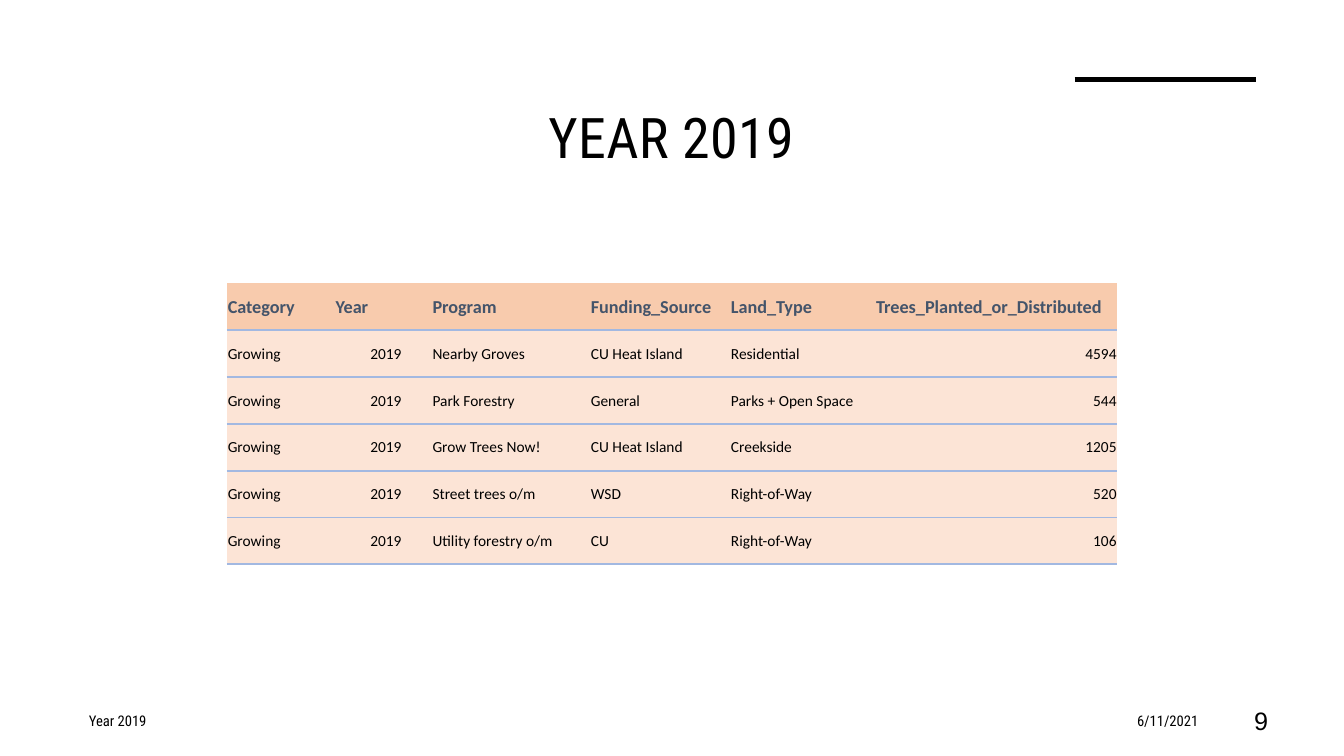
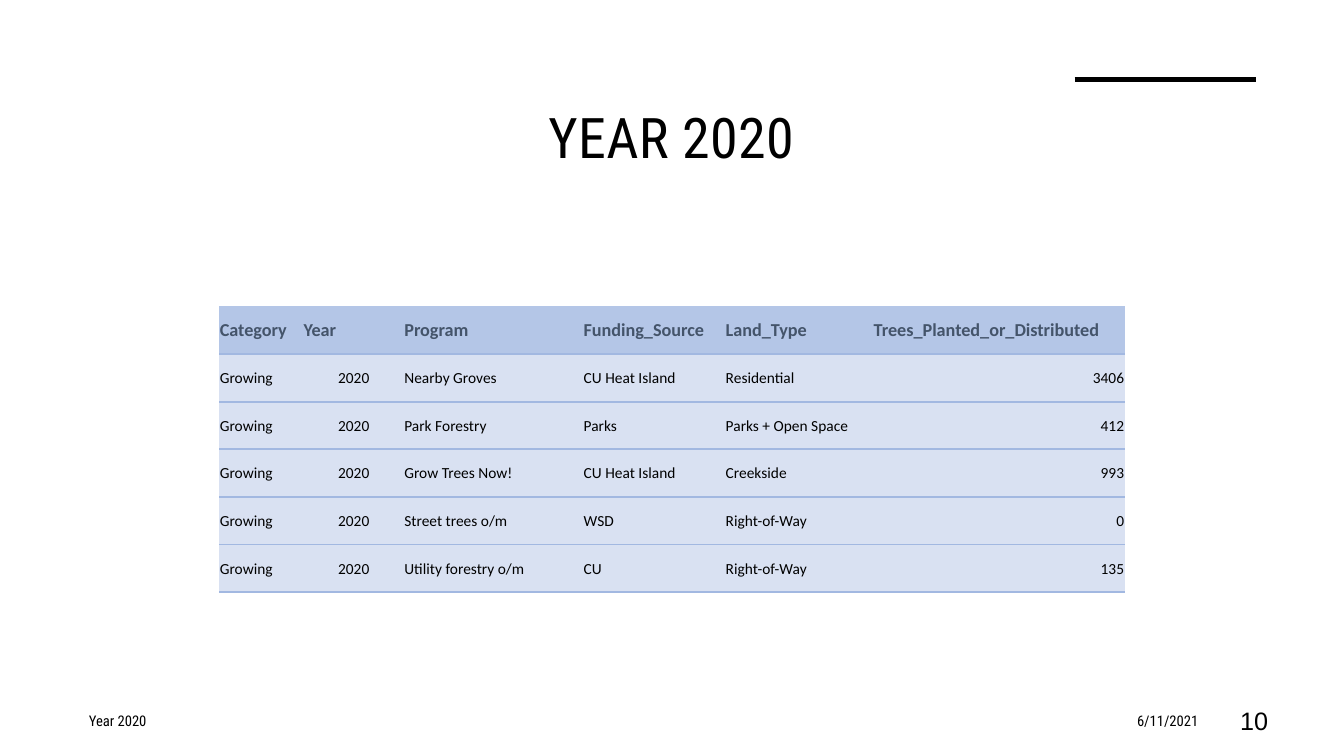
from lxml.etree import SubElement
from pptx import Presentation
from pptx.dml.color import RGBColor
from pptx.enum.shapes import MSO_CONNECTOR
from pptx.enum.text import MSO_ANCHOR, PP_ALIGN
from pptx.oxml.ns import qn
from pptx.util import Cm, Pt

BLACK = "000000"
HEADER_TEXT = "44546A"
RULE = "A2B8E1"
HEADING_FONT = "Roboto Condensed"
TABLE_FONT = "Calibri"
NUMBER_FONT = "Arial"

HEADER = ["Category", "Year", "", "Program", "Funding_Source", "Land_Type",
          "Trees_Planted_or_Distributed"]
RIGHT_ALIGNED = {"Year", "Trees_Planted_or_Distributed"}
PROGRAMS = ["Nearby Groves", "Park Forestry", "Grow Trees Now!",
            "Street trees o/m", "Utility forestry o/m"]
LAND_TYPES = ["Residential", "Parks + Open Space", "Creekside",
              "Right-of-Way", "Right-of-Way"]

YEARS = [
    dict(year="2019", number="9", left=5.72, top=7.14, row_height=1.18,
         widths=[2.72, 1.7, 0.74, 3.99, 3.53, 3.66, 6.1],
         header_fill="F8CBAD", body_fill="FCE4D6",
         funding=["CU Heat Island", "General", "CU Heat Island", "WSD", "CU"],
         trees=["4594", "544", "1205", "520", "106"]),
    dict(year="2020", number="10", left=5.52, top=7.72, row_height=1.2,
         widths=[2.11, 1.7, 0.84, 4.52, 3.58, 3.73, 6.35],
         header_fill="B4C6E7", body_fill="D9E1F2",
         funding=["CU Heat Island", "Parks", "CU Heat Island", "WSD", "CU"],
         trees=["3406", "412", "993", "0", "135"]),
]


def rgb(value):
    return RGBColor.from_string(value)


def write(frame, text, font=HEADING_FONT, size=10.5, color=BLACK, bold=False,
          align=PP_ALIGN.LEFT, tracking=0):
    """Put one formatted paragraph in a text frame; tracking is in points."""
    paragraph = frame.paragraphs[0]
    paragraph.alignment = align
    run = paragraph.add_run()
    run.text = text
    run.font.name = font
    run.font.size = Pt(size)
    run.font.bold = bold
    run.font.color.rgb = rgb(color)
    if tracking:
        run.font._element.set("spc", str(round(tracking * 100)))


def set_borders(cell, **colors):
    """Draw the named sides (T, B) in a colour and clear the others."""
    properties = cell._tc.get_or_add_tcPr()
    for side in "LRTB":
        line = SubElement(properties, qn(f"a:ln{side}"), w=str(Pt(1.5)))
        if side in colors:
            fill = SubElement(line, qn("a:solidFill"))
            SubElement(fill, qn("a:srgbClr"), val=colors[side])
        else:
            SubElement(line, qn("a:noFill"))


class Deck:
    """Holds the presentation, its shared style and the current slide."""

    def __init__(self):
        self.presentation = Presentation()
        self.presentation.slide_width = Cm(33.87)
        self.presentation.slide_height = Cm(19.05)
        self.slide = None

    def start_slide(self, title, footer, date, number):
        layout = self.presentation.slide_layouts[6]
        self.slide = self.presentation.slides.add_slide(layout)
        self.accent_line(27.08, 31.65, 2.01)
        self.text(title, 1.92, 2.46, 30, 2.92, anchor=MSO_ANCHOR.TOP, size=40,
                  align=PP_ALIGN.CENTER, tracking=0.3)
        self.footer(footer, 1.99, 12.6)
        self.footer(date, 23.24, 7.21, align=PP_ALIGN.RIGHT)
        self.footer(number, 30.33, 1.88, align=PP_ALIGN.RIGHT,
                    font=NUMBER_FONT, size=18)

    def accent_line(self, left, right, y):
        line = self.slide.shapes.add_connector(
            MSO_CONNECTOR.STRAIGHT, Cm(left), Cm(y), Cm(right), Cm(y))
        line.line.color.rgb = rgb(BLACK)
        line.line.width = Pt(3.5)
        SubElement(line._element.spPr, qn("a:effectLst"))

    def text(self, text, left, top, width, height, anchor=MSO_ANCHOR.MIDDLE,
             **text_format):
        box = self.slide.shapes.add_textbox(
            Cm(left), Cm(top), Cm(width), Cm(height))
        box.text_frame.word_wrap = True
        box.text_frame.vertical_anchor = anchor
        write(box.text_frame, text, **text_format)

    def footer(self, text, left, width, **text_format):
        self.text(text, left, 17.65, width, 1.02, **text_format)

    def table(self, rows, left, top, widths, row_height, header_fill,
              body_fill):
        table = self.slide.shapes.add_table(
            len(rows), len(widths), Cm(left), Cm(top), Cm(sum(widths)),
            Cm(row_height * len(rows))).table
        table.first_row = table.horz_banding = False
        for column, width in zip(table.columns, widths):
            column.width = Cm(width)
        for row_index, values in enumerate(rows):
            table.rows[row_index].height = Cm(row_height)
            for column_index, value in enumerate(values):
                cell = table.cell(row_index, column_index)
                self.table_cell(cell, value, HEADER[column_index],
                                row_index == 0, header_fill, body_fill)

    def table_cell(self, cell, value, heading, is_header, header_fill,
                   body_fill):
        cell.margin_left = cell.margin_right = cell.margin_top = Cm(0.02)
        cell.margin_bottom = 0
        cell.vertical_anchor = MSO_ANCHOR.MIDDLE
        if is_header:
            set_borders(cell, B=RULE)
            text_format = dict(size=13, color=HEADER_TEXT, bold=True)
        else:
            set_borders(cell, T=RULE, B=RULE)
            align = (PP_ALIGN.RIGHT if heading in RIGHT_ALIGNED
                     else PP_ALIGN.LEFT)
            text_format = dict(size=11, align=align)
        cell.fill.solid()
        cell.fill.fore_color.rgb = rgb(header_fill if is_header else body_fill)
        if value:
            write(cell.text_frame, value, font=TABLE_FONT, **text_format)


def add_year_slide(deck, year, number, funding, trees, **table_style):
    deck.start_slide(f"YEAR {year}", f"Year {year}", "6/11/2021", number)
    body = [["Growing", year, "", *values]
            for values in zip(PROGRAMS, funding, LAND_TYPES, trees)]
    deck.table([HEADER, *body], **table_style)


def main():
    deck = Deck()
    for year in YEARS:
        add_year_slide(deck, **year)
    deck.presentation.save("out.pptx")


if __name__ == "__main__":
    main()
